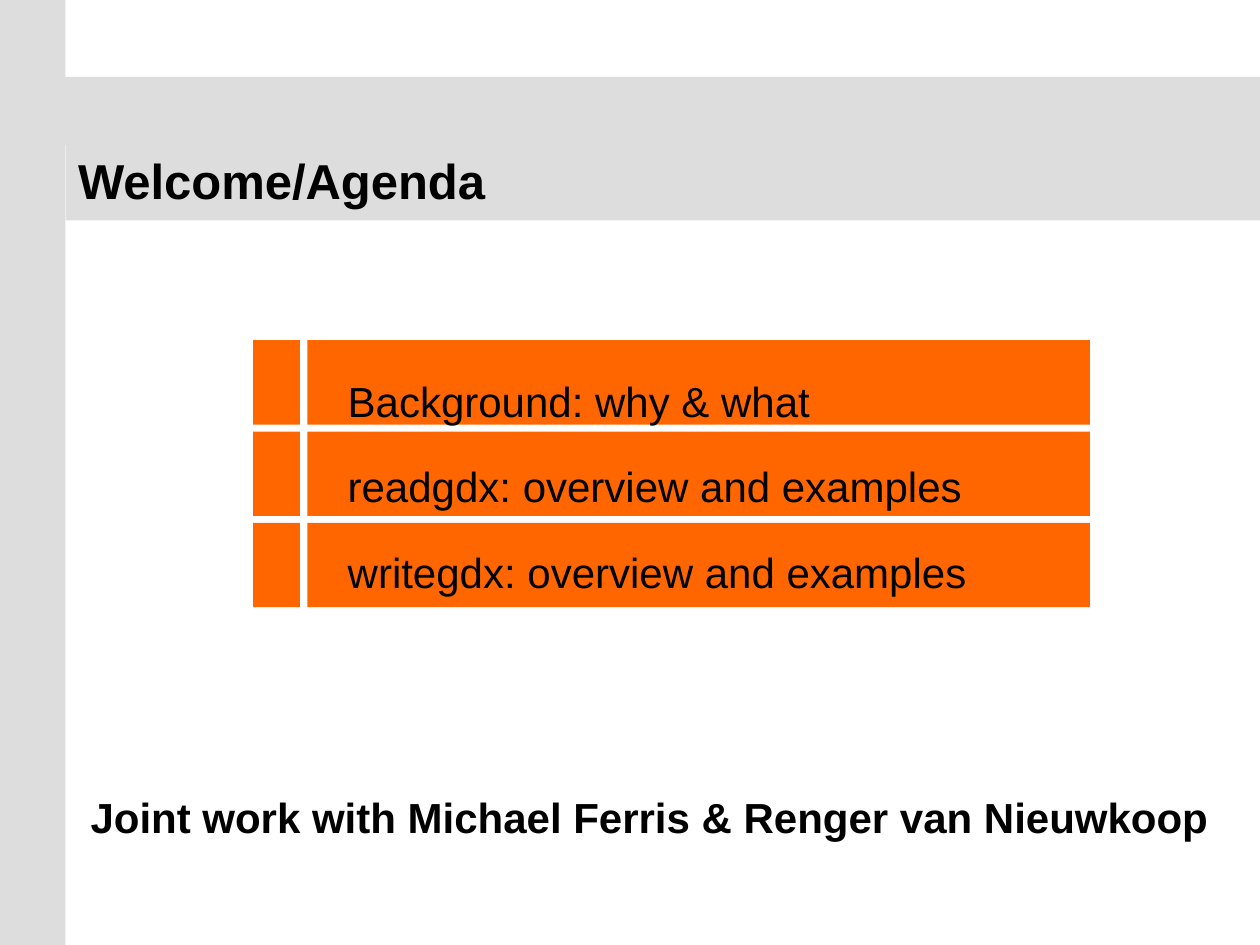
from dataclasses import dataclass

from pptx import Presentation
from pptx.dml.color import RGBColor
from pptx.enum.shapes import MSO_SHAPE
from pptx.enum.text import MSO_ANCHOR, PP_ALIGN
from pptx.util import Inches, Pt


@dataclass(frozen=True)
class Theme:
    font: str = "Arial"
    text: RGBColor = RGBColor(0x00, 0x00, 0x00)
    band: RGBColor = RGBColor(0xDD, 0xDD, 0xDD)
    accent: RGBColor = RGBColor(0xFF, 0x66, 0x00)
    title_size: int = 28
    body_size: int = 24


class SlideBuilder:
    def __init__(self, page, theme):
        self.page = page
        self.theme = theme

    def block(self, left, top, width, height, color):
        box = self.page.shapes.add_shape(
            MSO_SHAPE.RECTANGLE,
            Inches(left), Inches(top), Inches(width), Inches(height))
        box.shadow.inherit = False
        box.fill.solid()
        box.fill.fore_color.rgb = color
        box.line.fill.background()

    def style(self, para, size, bold=False, align=PP_ALIGN.LEFT):
        para.alignment = align
        para.font.name = self.theme.font
        para.font.size = Pt(size)
        para.font.bold = bold
        para.font.color.rgb = self.theme.text

    def title(self, text, left, top, width, height):
        box = self.page.shapes.title
        box.left, box.top = Inches(left), Inches(top)
        box.width, box.height = Inches(width), Inches(height)
        box.fill.solid()
        box.fill.fore_color.rgb = self.theme.band
        frame = box.text_frame
        frame.text = text
        frame.vertical_anchor = MSO_ANCHOR.MIDDLE
        self.style(frame.paragraphs[0], self.theme.title_size, bold=True)

    def text(self, lines, left, top, width, height, inset=True, gap=0,
             line_spacing=1.0, **style):
        box = self.page.shapes.add_textbox(
            Inches(left), Inches(top), Inches(width), Inches(height))
        frame = box.text_frame
        frame.word_wrap = True
        if not inset:
            frame.margin_left = frame.margin_right = 0
            frame.margin_top = frame.margin_bottom = 0
        for index, line in enumerate(lines):
            para = frame.add_paragraph() if index else frame.paragraphs[0]
            para.text = line
            para.line_spacing = line_spacing
            para.space_before = Pt(gap if index else 0)
            self.style(para, self.theme.body_size, **style)


def main():
    deck = Presentation()
    deck.slide_width, deck.slide_height = Inches(10), Inches(7.5)
    theme = Theme()
    slide = SlideBuilder(deck.slides.add_slide(deck.slide_layouts[5]), theme)

    # Grey bands and title
    slide.block(0.01, 0.61, 9.99, 0.54, theme.band)
    slide.block(0, 0, 0.52, 7.5, theme.band)
    slide.title("Welcome/Agenda", 0.52, 1.1, 9.48, 0.65)

    # Agenda rows: a small marker and a wide bar each
    agenda = [
        "Background: why & what",
        "readgdx: overview and examples",
        "writegdx: overview and examples",
    ]
    first_top, row_pitch, row_height = 2.7, 0.725, 0.67
    for row in range(len(agenda)):
        top = first_top + row * row_pitch
        for left, width in ((2.01, 0.37), (2.44, 6.21)):
            slide.block(left, top, width, row_height, theme.accent)
    slide.text(agenda, 2.76, 2.98, 5.06, 1.82, inset=False, gap=20)

    # Credits
    slide.text(["Joint work with Michael Ferris & Renger van Nieuwkoop"],
               0.62, 6.34, 9.07, 0.38, line_spacing=0.7,
               bold=True, align=PP_ALIGN.CENTER)

    deck.save("out.pptx")


if __name__ == "__main__":
    main()
